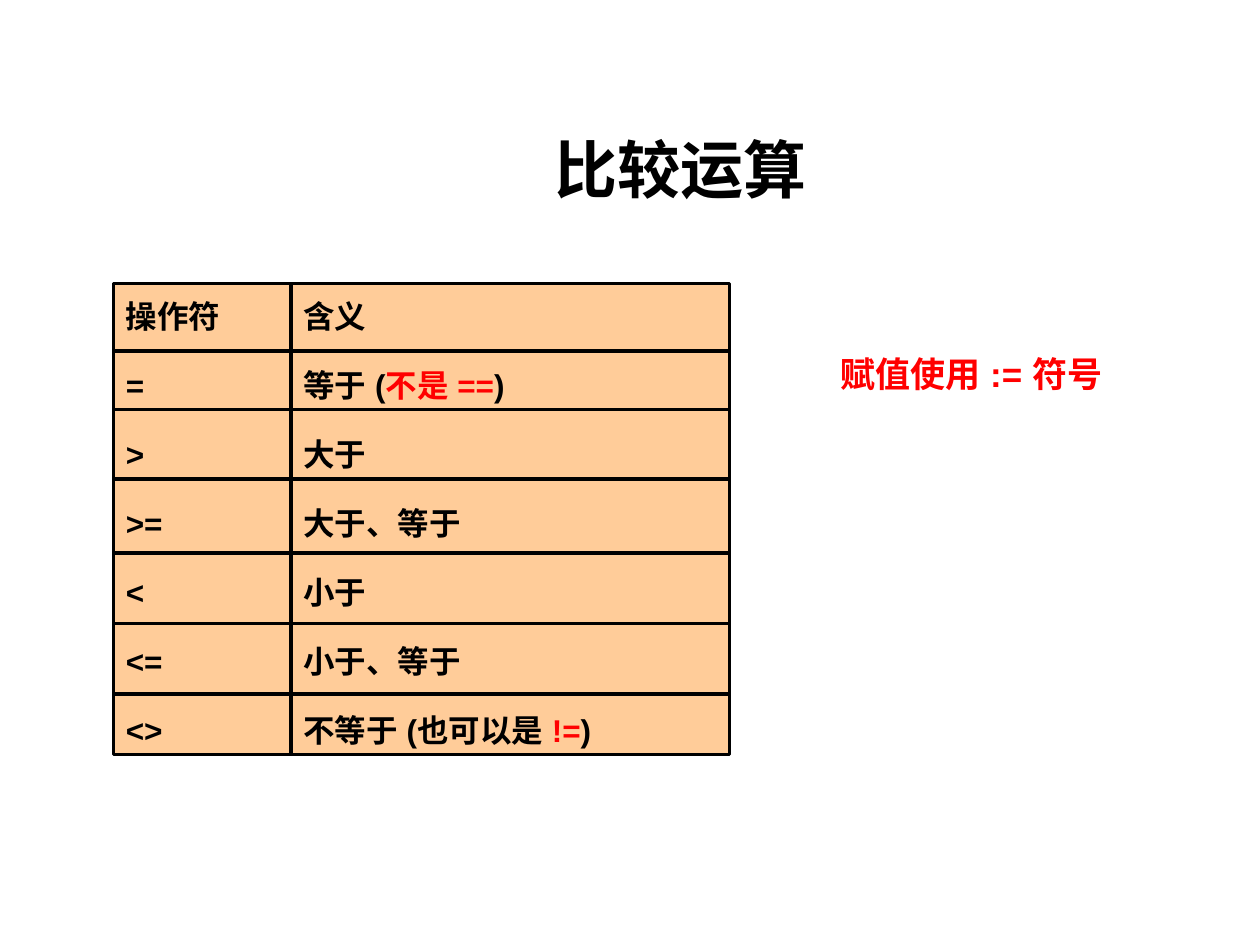
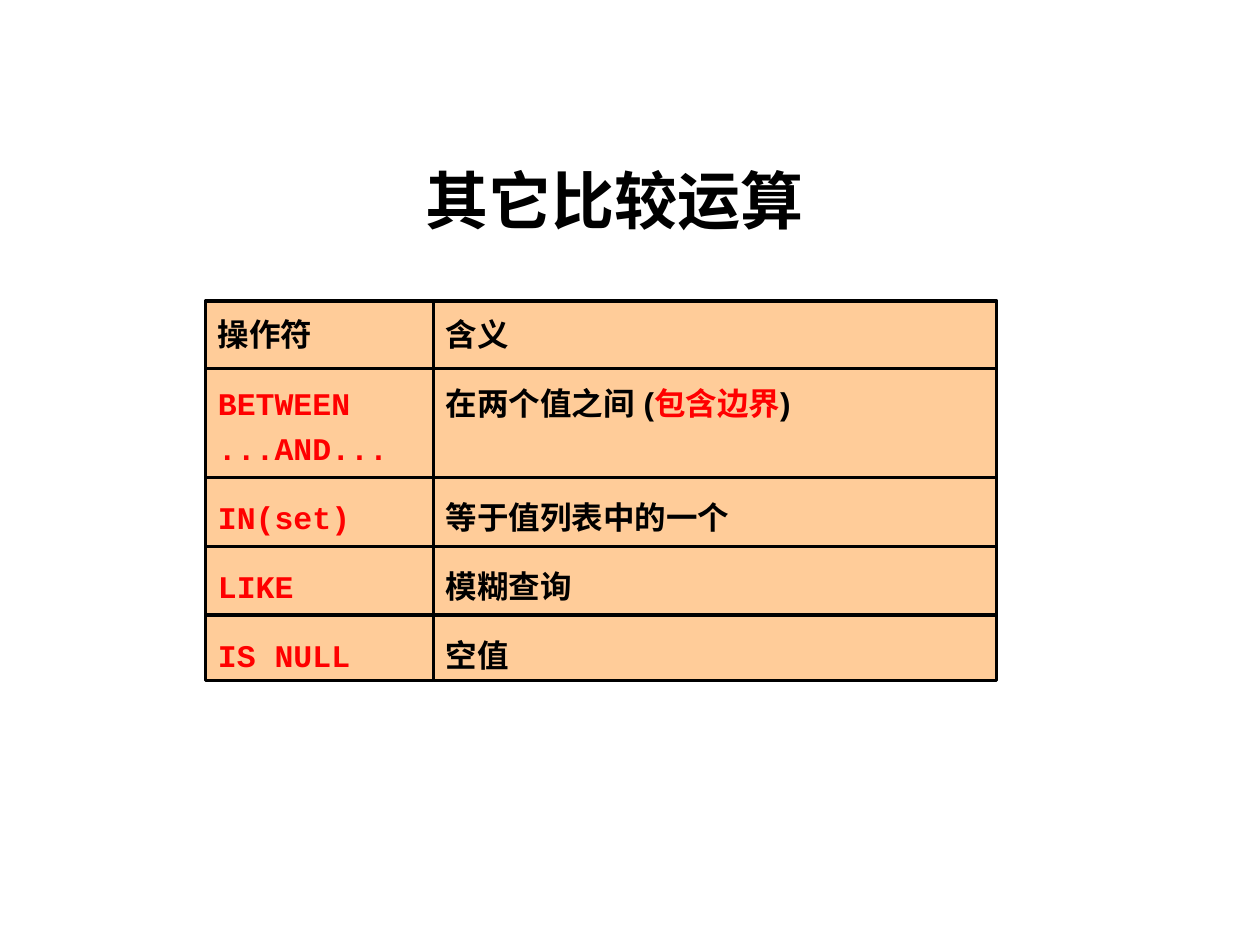
from dataclasses import dataclass
from lxml.etree import SubElement
from pptx import Presentation
from pptx.dml.color import RGBColor
from pptx.enum.shapes import MSO_CONNECTOR, MSO_SHAPE
from pptx.enum.text import MSO_ANCHOR, PP_ALIGN
from pptx.oxml.ns import qn
from pptx.util import Pt


@dataclass(frozen=True)
class Theme:
    ink: RGBColor = RGBColor(0, 0, 0)
    accent: RGBColor = RGBColor(255, 0, 0)
    panel: RGBColor = RGBColor(255, 204, 153)
    title_font: str = "Noto Sans CJK SC"
    body_font: str = "Arial"
    code_font: str = "Courier New"
    title_size: float = 36
    note_size: float = 20
    body_size: float = 18
    line_height: float = 25.9
    row_gap: float = 13.5
    border: float = 2


THEME = Theme()


@dataclass(frozen=True)
class Box:
    left: float
    top: float
    width: float
    height: float

    def lengths(self):
        return Pt(self.left), Pt(self.top), Pt(self.width), Pt(self.height)


def style_span(span, font, size, colour):
    """Bold text, with the same typeface for Latin and Chinese."""
    span.font.name = font
    span.font.size = Pt(size)
    span.font.bold = True
    span.font.color.rgb = colour
    SubElement(span.font._element, qn("a:ea"), typeface=font)


def set_frame(frame):
    frame.word_wrap = True
    frame.vertical_anchor = MSO_ANCHOR.TOP
    frame.margin_left = frame.margin_right = Pt(7.2)
    frame.margin_top = frame.margin_bottom = Pt(3.6)


def add_label(page, box, text, font, size, colour, align):
    """One line of free text: the title or the side note."""
    frame = page.shapes.add_textbox(*box.lengths()).text_frame
    set_frame(frame)
    frame.text = text
    para = frame.paragraphs[0]
    para.alignment = align
    style_span(para.runs[0], font, size, colour)


def add_title(page, box, text):
    add_label(page, box, text, THEME.title_font, THEME.title_size,
              THEME.ink, PP_ALIGN.CENTER)


def add_note(page, box, text):
    add_label(page, box, text, THEME.body_font, THEME.note_size,
              THEME.accent, PP_ALIGN.LEFT)


def fill_cell(para, text, font, colour):
    """Write a cell; text between bars takes the accent colour."""
    for line_number, line in enumerate(text.split("\n")):
        if line_number:
            para.add_line_break()
        for part_number, part in enumerate(line.split("|")):
            if part:
                span = para.add_run()
                span.text = part
                shade = THEME.accent if part_number % 2 else colour
                style_span(span, font, THEME.body_size, shade)


def add_column(page, box, cells, row_lines, font, colour):
    """A bordered panel with one paragraph for each row."""
    panel = page.shapes.add_shape(MSO_SHAPE.RECTANGLE, *box.lengths())
    panel.shadow.inherit = False
    panel.fill.solid()
    panel.fill.fore_color.rgb = THEME.panel
    panel.line.color.rgb = THEME.ink
    panel.line.width = Pt(THEME.border)
    frame = panel.text_frame
    set_frame(frame)
    missing_lines = 0
    for row, text in enumerate(cells):
        para = frame.add_paragraph() if row else frame.paragraphs[0]
        para.alignment = PP_ALIGN.LEFT
        para.line_spacing = Pt(THEME.line_height)
        para.space_before = Pt(THEME.row_gap + missing_lines * THEME.line_height)
        is_header = row == 0
        fill_cell(para, text, THEME.body_font if is_header else font,
                  THEME.ink if is_header else colour)
        # A cell shorter than its row pushes the next one down
        missing_lines = row_lines[row] - len(text.split("\n"))


def add_rule(page, box, offset, weight):
    """A horizontal line across the box, offset from its top."""
    height = Pt(box.top + offset)
    rule = page.shapes.add_connector(MSO_CONNECTOR.STRAIGHT, Pt(box.left), height,
                                     Pt(box.left + box.width), height)
    rule.line.color.rgb = THEME.ink
    rule.line.width = Pt(weight)
    SubElement(rule._element.spPr, qn("a:effectLst"))


def add_operator_grid(page, box, split, rows, rule_offsets, header_weight,
                      operator_font, operator_colour):
    """Operators on the left, meanings on the right, rules between the rows."""
    operators, meanings = zip(("操作符", "含义"), *rows)
    row_lines = [max(len(cell.split("\n")) for cell in row)
                 for row in zip(operators, meanings)]
    left = Box(box.left, box.top, split, box.height)
    right = Box(box.left + split, box.top, box.width - split, box.height)
    add_column(page, left, operators, row_lines, operator_font, operator_colour)
    add_column(page, right, meanings, row_lines, THEME.body_font, THEME.ink)
    for number, offset in enumerate(rule_offsets):
        add_rule(page, box, offset, THEME.border if number else header_weight)


def build_comparison(page):
    add_title(page, Box(87.8, 71.3, 602, 113), "比较运算")
    rows = [
        ("=", "等于 (|不是 ==|)"),
        (">", "大于"),
        (">=", "大于、等于"),
        ("<", "小于"),
        ("<=", "小于、等于"),
        ("<>", "不等于 (也可以是 |!=|)"),
    ]
    add_operator_grid(page, Box(64.8, 162, 352, 269.3), 101.5, rows,
                      (38.5, 72, 111.6, 154, 194.4, 234.7), 2.25,
                      THEME.body_font, THEME.ink)
    add_note(page, Box(473, 198, 176, 31.7), "赋值使用 := 符号")


def build_other_comparison(page):
    add_title(page, Box(48.2, 88.6, 606, 113), "其它比较运算")
    rows = [
        ("BETWEEN\n...AND...", "在两个值之间 (|包含边界|)"),
        ("IN(set)", "等于值列表中的一个"),
        ("LIKE", "模糊查询"),
        ("IS NULL", "空值"),
    ]
    add_operator_grid(page, Box(117.4, 172, 452.2, 216.8), 130.3, rows,
                      (38.5, 100.9, 140.4, 179.3), 1.5,
                      THEME.code_font, THEME.accent)


def main():
    deck = Presentation()
    deck.slide_width, deck.slide_height = Pt(720), Pt(540)
    for build in (build_comparison, build_other_comparison):
        build(deck.slides.add_slide(deck.slide_layouts[6]))
    deck.save("out.pptx")


if __name__ == "__main__":
    main()
